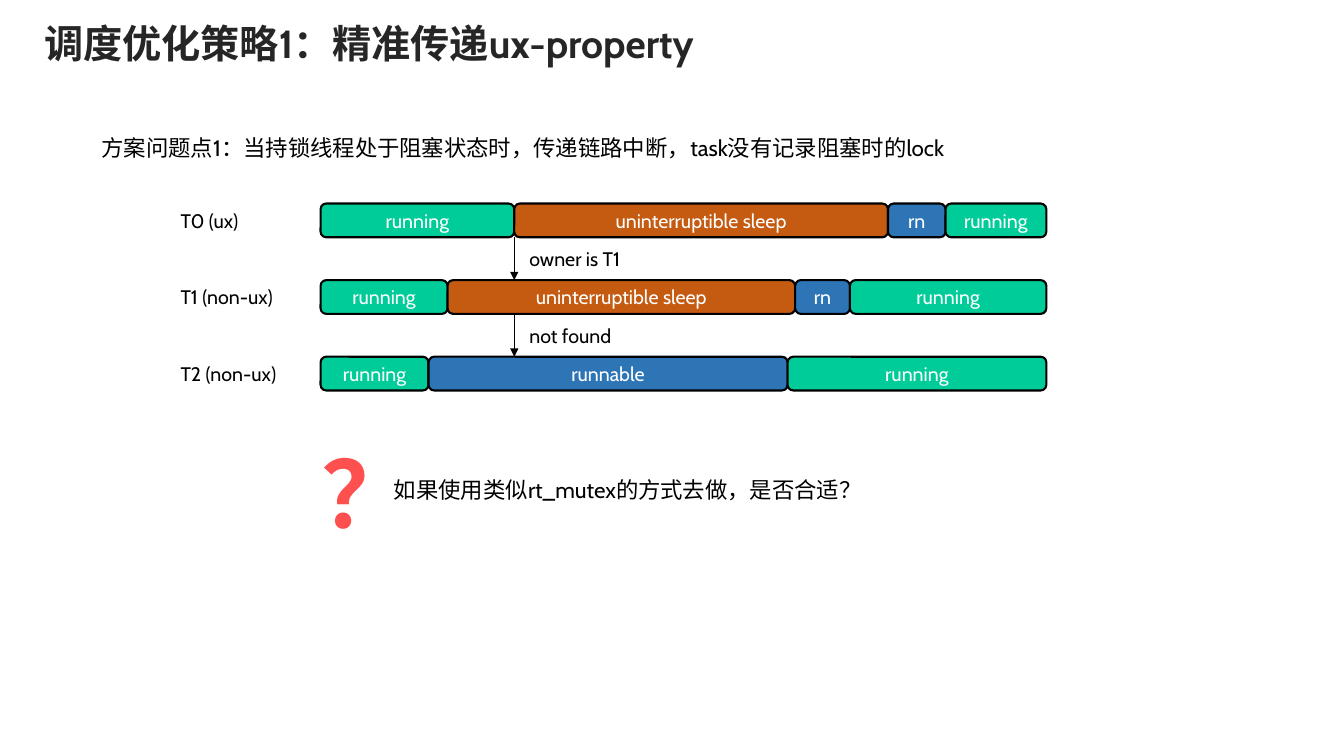
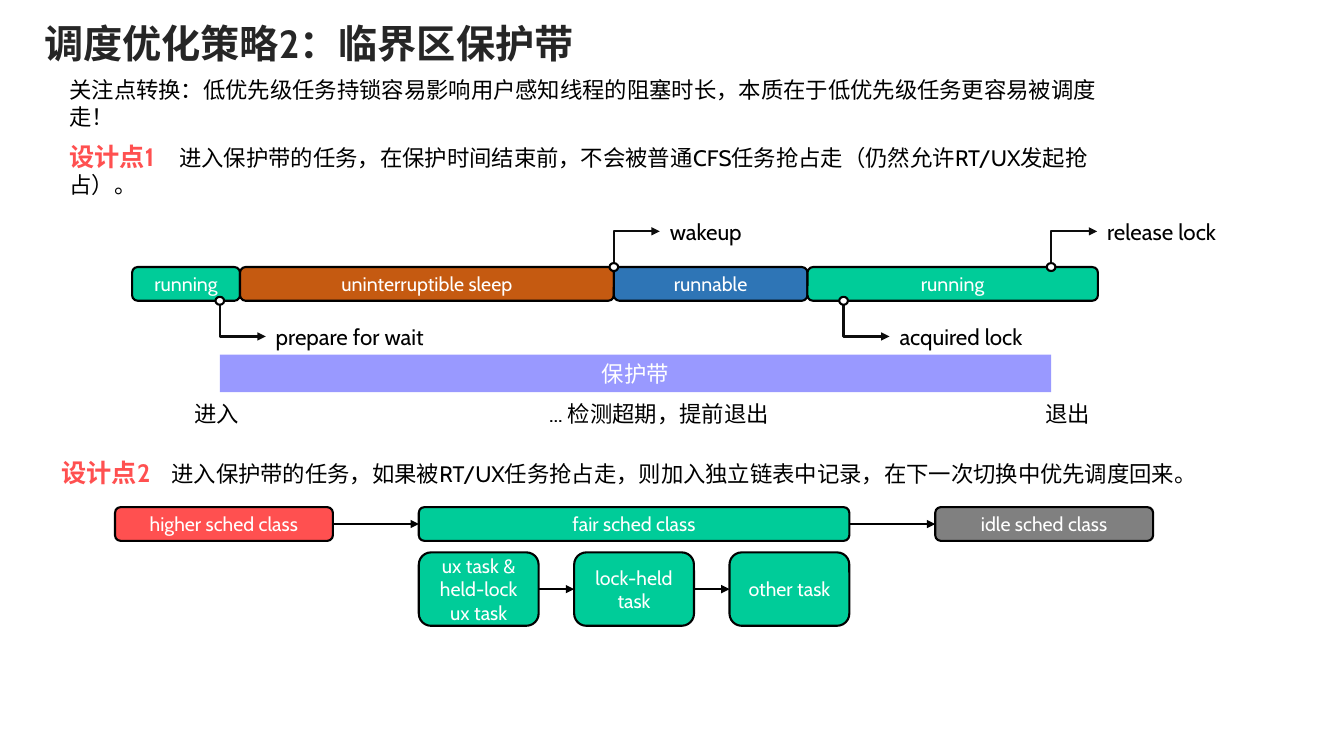
from dataclasses import dataclass
from itertools import pairwise

from pptx import Presentation
from pptx.dml.color import RGBColor as RGB
from pptx.enum.lang import MSO_LANGUAGE_ID as LANG
from pptx.enum.shapes import MSO_CONNECTOR as CONN, MSO_SHAPE as SHAPE
from pptx.enum.text import MSO_ANCHOR as ANCHOR, PP_ALIGN as ALIGN
from pptx.oxml.ns import qn
from pptx.oxml.xmlchemy import OxmlElement as Xml
from pptx.util import Cm, Pt


@dataclass(frozen=True)
class Theme:
    font: str = "Cabin"
    ink: str = "000000"
    title: str = "262626"
    elbow: str = "0D0D0D"
    white: str = "FFFFFF"
    accent: str = "FF5050"
    green: str = "00CC99"
    orange: str = "C55A11"
    blue: str = "2E75B6"
    gray: str = "808080"
    violet: str = "9999FF"
    title_size: int = 28
    head_size: int = 18
    body_size: int = 16
    label_size: int = 14
    mark_size: int = 66
    line: float = 1.5
    thin: float = 1


@dataclass(frozen=True)
class Box:
    x: float
    y: float
    w: float
    h: float

    @property
    def emu(self):
        return Cm(self.x), Cm(self.y), Cm(self.w), Cm(self.h)


T = Theme()
BAR_H = 0.85
LABEL_H = 0.94
STATE = {
    "running": T.green,
    "uninterruptible sleep": T.orange,
    "rn": T.blue,
    "runnable": T.blue,
}


def style_run(r, size, color, bold=False):
    r.font.name = T.font
    r.font.size = Pt(size)
    r.font.bold = bold
    r.font.color.rgb = RGB.from_string(color)
    r.font.language_id = LANG.SIMPLIFIED_CHINESE
    ea = Xml("a:ea")
    ea.set("typeface", T.font)
    r.font._element.find(qn("a:latin")).addnext(ea)


def add_text(slide, box, text, size=T.body_size, color=T.ink, bold=False, anchor=ANCHOR.MIDDLE):
    tf = slide.shapes.add_textbox(*box.emu).text_frame
    tf.word_wrap = True
    tf.vertical_anchor = anchor
    p = tf.paragraphs[0]
    p.text = text
    style_run(p.runs[0], size, color, bold)
    return p


def add_block(slide, box, fill, text="", kind=SHAPE.ROUNDED_RECTANGLE, size=T.label_size, outline=True):
    s = slide.shapes.add_shape(kind, *box.emu)
    s.shadow.inherit = False
    s.fill.solid()
    s.fill.fore_color.rgb = RGB.from_string(fill)
    if outline:
        s.line.color.rgb = RGB.from_string(T.ink)
        s.line.width = Pt(T.line)
    else:
        s.line.fill.background()
    if text:
        tf = s.text_frame
        tf.word_wrap = True
        tf.vertical_anchor = ANCHOR.MIDDLE
        p = tf.paragraphs[0]
        p.text = text
        p.alignment = ALIGN.CENTER
        style_run(p.runs[0], size, T.white)


def add_arrow(slide, start, end, width=T.line, color=T.ink, kind=CONN.STRAIGHT, tip="a:tailEnd"):
    s = slide.shapes.add_connector(kind, *(Cm(v) for v in (*start, *end)))
    s.line.color.rgb = RGB.from_string(color)
    s.line.width = Pt(width)
    head = Xml(tip)
    head.set("type", "triangle")
    s.line._get_or_add_ln().append(head)
    s._element.spPr.append(Xml("a:effectLst"))
    return s


def add_title(slide, text):
    add_text(slide, Box(0.86, 0.1, 18.9, 1.96), text, T.title_size, T.title, True)


def add_design_point(slide, box, heading, body):
    p = add_text(slide, box, heading + "\t", T.head_size, T.accent, True)
    tabs = Xml("a:tabLst")
    tab = Xml("a:tab")
    tab.set("pos", str(Cm(2.77)))
    tab.set("algn", "l")
    tabs.append(tab)
    p._p.get_or_add_pPr().append(tabs)
    r = p.add_run()
    r.text = body
    style_run(r, T.body_size, T.ink)


def add_timeline(slide, box, segments):
    x = box.x
    for state, w in segments:
        add_block(slide, Box(x, box.y, w, box.h), STATE[state], state)
        x += w


def add_threads(slide, box, threads, handoffs, handoff_x):
    pitch = (box.h - BAR_H) / (len(threads) - 1)
    x = box.x + handoff_x
    for i, (name, segments) in enumerate(threads):
        y = box.y + i * pitch
        add_timeline(slide, Box(box.x, y, box.w, BAR_H), segments)
        add_text(slide, Box(box.x - 3.78, y, 3.3, BAR_H), name, T.label_size)
    for i, note in enumerate(handoffs):
        top, bottom = box.y + i * pitch + BAR_H, box.y + (i + 1) * pitch
        add_arrow(slide, (x, top), (x, bottom), T.thin)
        add_text(slide, Box(x + 0.13, top, 4, bottom - top), note, T.label_size)


def add_event(slide, bar, dx, side, text):
    x = bar.x + dx
    edge = bar.y if side < 0 else bar.y + bar.h
    tip_x, tip_y = x + 1.16, edge + side * 0.9
    s = add_arrow(slide, (tip_x, tip_y), (x, edge + side * 0.1),
                  color=T.elbow, kind=CONN.ELBOW, tip="a:headEnd")
    s._element.spPr.find(qn("a:prstGeom")).set("prst", "bentConnector2")
    add_block(slide, Box(x - 0.11, edge - 0.1, 0.22, 0.2), T.white, kind=SHAPE.OVAL)
    add_text(slide, Box(tip_x, tip_y - LABEL_H / 2, 4.7, LABEL_H), text)


def add_guard_band(slide, box, text, notes):
    add_block(slide, box, T.violet, text, SHAPE.RECTANGLE, T.body_size, outline=False)
    for dx, w, note in notes:
        add_text(slide, Box(box.x + dx, box.y + 1.02, w, LABEL_H), note)


def add_chain(slide, box, items):
    gap = (box.w - sum(w for _, w, _ in items)) / (len(items) - 1)
    x, spans = box.x, []
    for text, w, fill in items:
        add_block(slide, Box(x, box.y, w, box.h), fill, text)
        spans.append((x, x + w))
        x += w + gap
    mid = box.y + box.h / 2
    for (_, start), (end, _) in pairwise(spans):
        add_arrow(slide, (start, mid), (end, mid))
    return spans


def build_ux_slide(slide):
    add_title(slide, "调度优化策略1：精准传递ux-property")
    add_text(slide, Box(2.31, 3.25, 24, LABEL_H),
             "方案问题点1：当持锁线程处于阻塞状态时，传递链路中断，task没有记录阻塞时的lock")
    threads = [
        ("T0 (ux)", [("running", 4.88), ("uninterruptible sleep", 9.42), ("rn", 1.45), ("running", 2.54)]),
        ("T1 (non-ux)", [("running", 3.2), ("uninterruptible sleep", 8.76), ("rn", 1.38), ("running", 4.95)]),
        ("T2 (non-ux)", [("running", 2.72), ("runnable", 9.05), ("running", 6.52)]),
    ]
    add_threads(slide, Box(8.08, 5.13, 18.29, 4.71), threads, ["owner is T1", "not found"], 4.88)
    add_text(slide, Box(9.68, 11.86, 14, LABEL_H), "如果使用类似rt_mutex的方式去做，是否合适？")
    add_text(slide, Box(7.85, 10.87, 2.06, 3.07), "？", T.mark_size, T.accent, True, ANCHOR.TOP)


def build_guard_slide(slide):
    add_title(slide, "调度优化策略2：临界区保护带")
    add_text(slide, Box(1.5, 2.13, 26.7, LABEL_H),
             "关注点转换：低优先级任务持锁容易影响用户感知线程的阻塞时长，本质在于低优先级任务更容易被调度走！")
    add_design_point(slide, Box(1.5, 3.76, 26.47, 1.02), "设计点1",
                     "进入保护带的任务，在保护时间结束前，不会被普通CFS任务抢占走（仍然允许RT/UX发起抢占）。")
    bar = Box(3.33, 6.73, 24.34, BAR_H)
    add_timeline(slide, bar, [("running", 2.72), ("uninterruptible sleep", 9.42),
                              ("runnable", 4.88), ("running", 7.32)])
    enter, leave = 2.21, 23.16
    for dx, side, text in [(enter, 1, "prepare for wait"), (12.14, -1, "wakeup"),
                           (17.93, 1, "acquired lock"), (leave, -1, "release lock")]:
        add_event(slide, bar, dx, side, text)
    add_guard_band(slide, Box(bar.x + enter, 8.94, leave - enter, LABEL_H), "保护带",
                   [(-0.89, 2, "进入"), (8.05, 7.3, "... 检测超期，提前退出"), (20.55, 2, "退出")])
    add_design_point(slide, Box(1.3, 11.4, 29.9, 1.02), "设计点2",
                     "进入保护带的任务，如果被RT/UX任务抢占走，则加入独立链表中记录，在下一次切换中优先调度回来。")
    spans = add_chain(slide, Box(2.9, 12.78, 26.16, BAR_H), [
        ("higher sched class", 5.49, T.accent),
        ("fair sched class", 10.85, T.green),
        ("idle sched class", 5.49, T.gray),
    ])
    left, right = spans[1]
    tasks = ["ux task & held-lock ux task", "lock-held task", "other task"]
    add_chain(slide, Box(left, 13.92, right - left, 1.85), [(t, 3.02, T.green) for t in tasks])


def main():
    prs = Presentation()
    prs.slide_width, prs.slide_height = Cm(33.87), Cm(19.05)
    for build in (build_ux_slide, build_guard_slide):
        build(prs.slides.add_slide(prs.slide_layouts[6]))
    prs.save("out.pptx")


if __name__ == "__main__":
    main()
